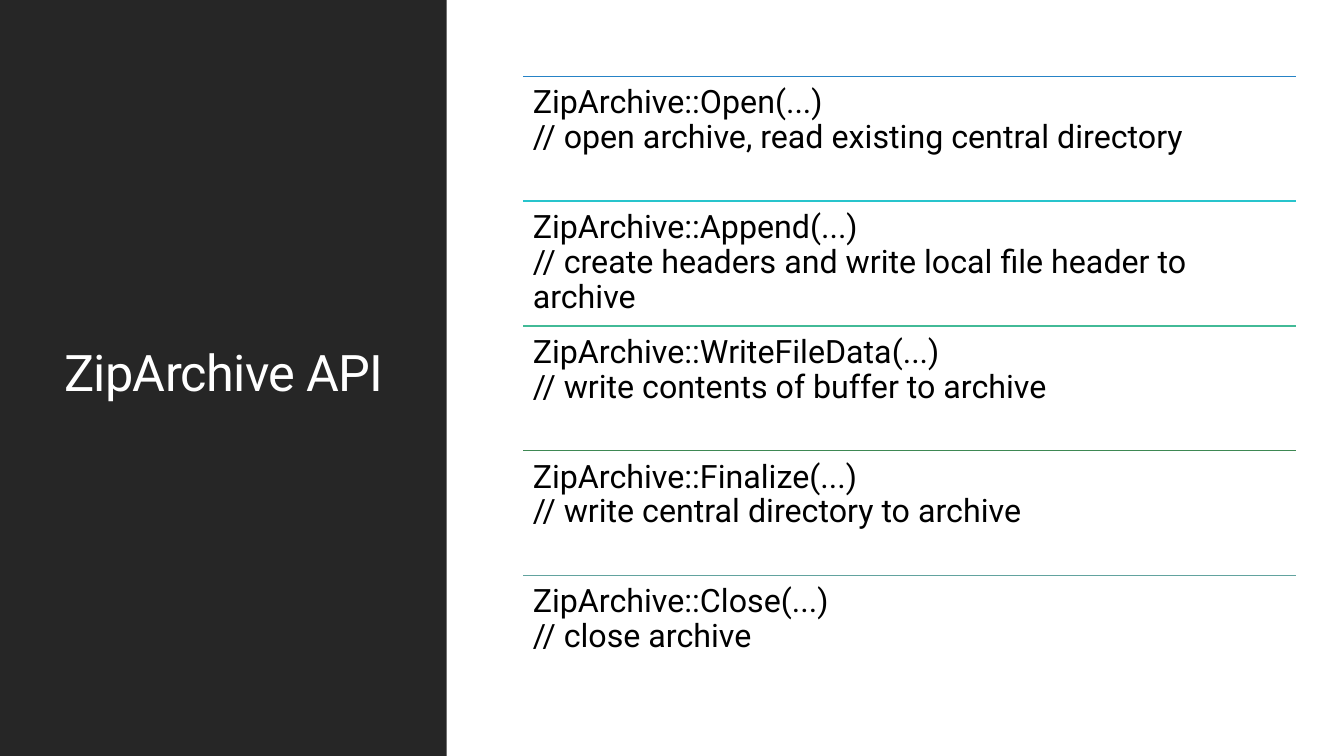
import pptx
import pptx.dml.color
import pptx.enum.shapes
import pptx.enum.text
import pptx.oxml
import pptx.oxml.ns
import pptx.util

Pt = pptx.util.Pt

FONT = "Roboto"
COLORS = {"panel": "262626", "title": "FFFFFF", "text": "000000"}
METHODS = [
    ("2683C6", "ZipArchive::Open(...)", "// open archive, read existing central directory"),
    ("28C4CC", "ZipArchive::Append(...)", "// create headers and write local file header to archive"),
    ("42BA97", "ZipArchive::WriteFileData(...)", "// write contents of buffer to archive"),
    ("3E8853", "ZipArchive::Finalize(...)", "// write central directory to archive"),
    ("62A39F", "ZipArchive::Close(...)", "// close archive"),
]
LIST_LEFT, LIST_TOP, LIST_WIDTH, ROW_HEIGHT = 373.7, 54.6, 552.2, 89.1


def rgb(value):
    return pptx.dml.color.RGBColor.from_string(value)


def add_panel(slide, left, top, width, height):
    shape = slide.shapes.add_shape(
        pptx.enum.shapes.MSO_SHAPE.RECTANGLE, Pt(left), Pt(top), Pt(width), Pt(height))
    shape.shadow.inherit = False
    shape.fill.solid()
    shape.fill.fore_color.rgb = rgb(COLORS["panel"])
    shape.line.fill.background()


def add_rule(slide, left, top, width, color):
    connector = slide.shapes.add_connector(
        pptx.enum.shapes.MSO_CONNECTOR.STRAIGHT, Pt(left), Pt(top), Pt(left + width), Pt(top))
    connector.line.color.rgb = rgb(color)
    connector.line.width = Pt(1.25)
    properties = connector._element.spPr
    properties.append(pptx.oxml.parse_xml(
        f'<a:effectLst {pptx.oxml.ns.nsdecls("a")}/>'))


def add_text(slide, left, top, width, height, lines, size, color, inset, anchor, spacing=0):
    """Add one paragraph whose lines are parted by line breaks."""
    shape = slide.shapes.add_textbox(Pt(left), Pt(top), Pt(width), Pt(height))
    frame = shape.text_frame
    frame.word_wrap = True
    frame.vertical_anchor = anchor
    frame.margin_left = frame.margin_right = Pt(inset)
    frame.margin_top = frame.margin_bottom = Pt(inset)
    paragraph = frame.paragraphs[0]
    paragraph.alignment = pptx.enum.text.PP_ALIGN.LEFT
    paragraph.line_spacing = 0.9
    for index, line in enumerate(lines):
        if index:
            paragraph.add_line_break()
        run = paragraph.add_run()
        run.text = line
        run.font.name = FONT
        run.font.size = Pt(size)
        run.font.color.rgb = rgb(color)
        if spacing:
            run._r.get_or_add_rPr().set("spc", str(round(spacing * 100)))


def main():
    presentation = pptx.Presentation()
    presentation.slide_width = Pt(960)
    presentation.slide_height = Pt(540)
    slide = presentation.slides.add_slide(presentation.slide_layouts[6])
    anchors = pptx.enum.text.MSO_ANCHOR

    add_panel(slide, 0, 0, 319, 540)
    add_text(slide, 38.9, 41, 242.6, 454.3, ["ZipArchive API"], 36,
             COLORS["title"], 7.2, anchors.MIDDLE, spacing=-0.5)

    for index, (color, call, comment) in enumerate(METHODS):
        top = LIST_TOP + index * ROW_HEIGHT
        add_rule(slide, LIST_LEFT, top, LIST_WIDTH, color)
        add_text(slide, LIST_LEFT, top, LIST_WIDTH, ROW_HEIGHT, [call, comment], 23,
                 COLORS["text"], 6.9, anchors.TOP)

    presentation.save("out.pptx")


if __name__ == "__main__":
    main()
